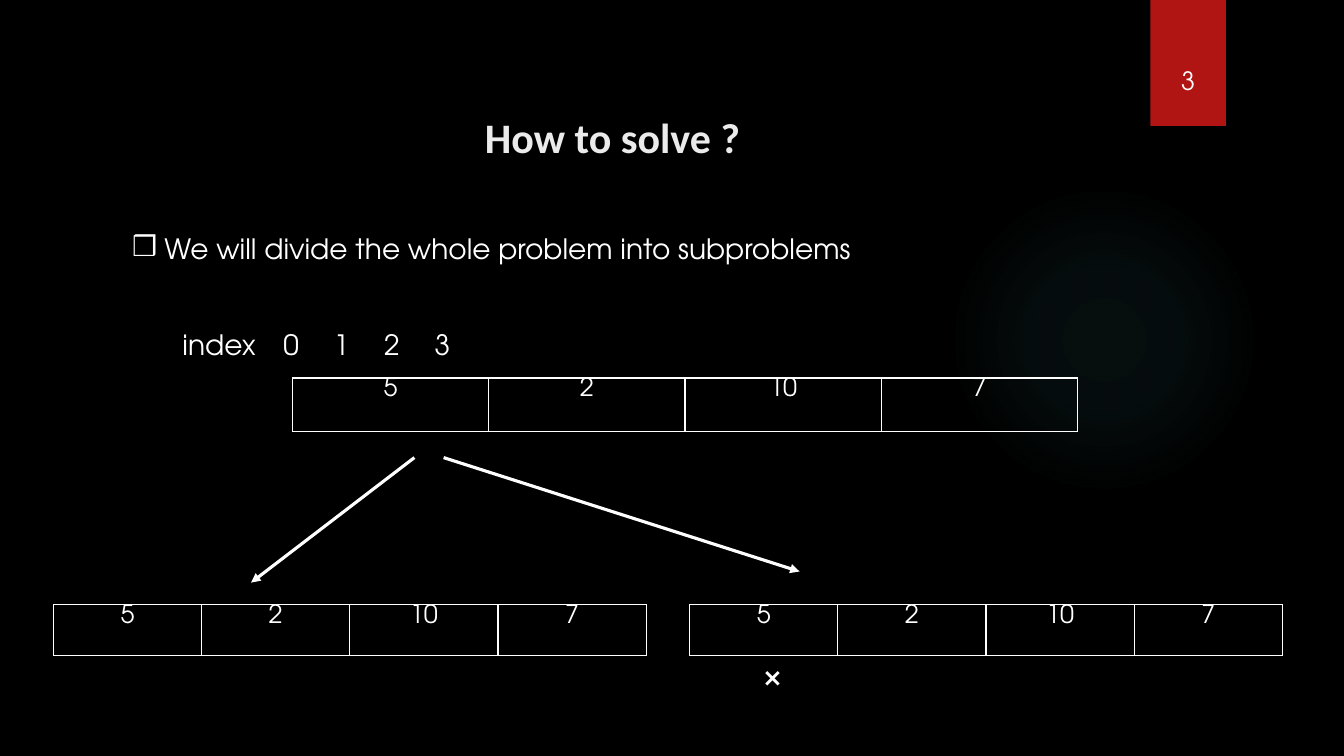
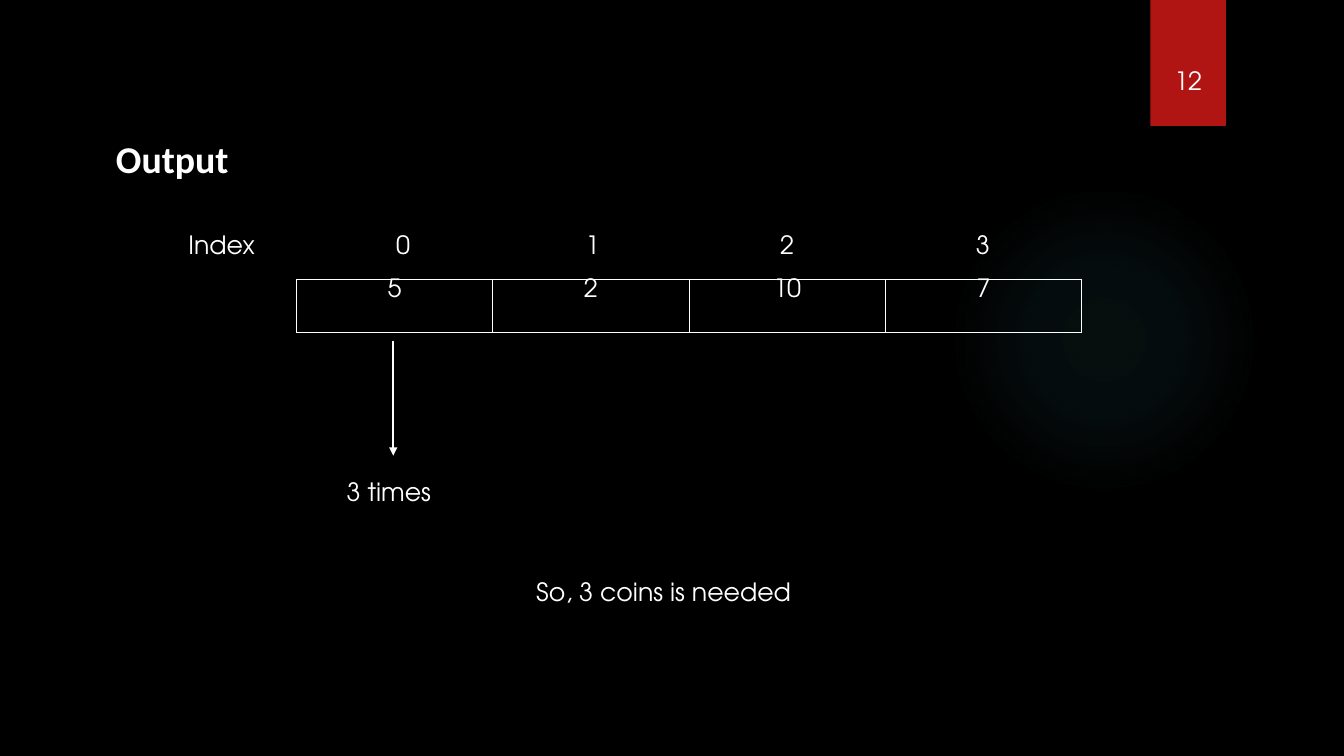
"""Two dark slides on a coin problem: dividing it into subproblems, and its output."""
from pptx import Presentation
from pptx.dml.color import RGBColor
from pptx.enum.shapes import MSO_CONNECTOR, MSO_SHAPE
from pptx.enum.text import MSO_ANCHOR, MSO_AUTO_SIZE, PP_ALIGN
from pptx.oxml import parse_xml
from pptx.oxml.ns import nsdecls, qn
from pptx.util import Inches, Pt

COLORS = {"background": "000000", "text": "FFFFFF", "title": "EBEBEB",
          "band": "B01513", "glow": "50B9C1"}
BODY_FONT = "TeX Gyre Adventor"
TITLE_FONT = "Calibri"
COINS = ["5", "2", "10", "7"]
DRAWING = nsdecls("a")


def write(para, text, size=18, font=BODY_FONT, color="text", bold=False, align=PP_ALIGN.LEFT):
    para.alignment = align
    span = para.add_run()
    span.text = text
    for name, value in {"size": Pt(size), "name": font, "bold": bold}.items():
        setattr(span.font, name, value)
    span.font.color.rgb = RGBColor.from_string(COLORS[color])


def place(box, area, **frame_format):
    box.left, box.top, box.width, box.height = map(Inches, area)
    for name, value in frame_format.items():
        setattr(box.text_frame, name, value)


deck = Presentation()
deck.slide_width, deck.slide_height = Inches(13.33), Inches(7.5)
master = deck.slide_master
master.background.fill.solid()
master.background.fill.fore_color.rgb = RGBColor.from_string(COLORS["background"])

solve_page = deck.slides.add_slide(deck.slide_layouts[1])
output_page = deck.slides.add_slide(deck.slide_layouts[5])

glow = solve_page.shapes.add_shape(
    MSO_SHAPE.OVAL, Inches(9.41), Inches(1.83), Inches(3.08), Inches(3.08))
band = solve_page.shapes.add_shape(
    MSO_SHAPE.RECTANGLE, Inches(11.41), 0, Inches(0.75), Inches(1.25))
band.fill.solid()
band.fill.fore_color.rgb = RGBColor.from_string(COLORS["band"])
glow.fill.background()
stops = "".join(
    f'<a:gs pos="{position}000"><a:srgbClr val="{COLORS["glow"]}">'
    f'<a:alpha val="{opacity}000"/></a:srgbClr></a:gs>'
    for position, opacity in [(0, 7), (36, 6), (69, 0)])
gradient = parse_xml(
    f'<a:gradFill {DRAWING} rotWithShape="1"><a:gsLst>{stops}</a:gsLst><a:path path="circle">'
    '<a:fillToRect l="50000" t="50000" r="50000" b="50000"/></a:path></a:gradFill>')
glow_format = glow.element.spPr
glow_format.replace(glow_format.find(qn("a:noFill")), gradient)
for shape in (glow, band):
    shape.line.fill.background()
    shape.shadow.inherit = False
    master.shapes.element.append(shape.element)

solve_title = solve_page.shapes.title
place(solve_title, (1.21, 0.67, 9.56, 0.99), vertical_anchor=MSO_ANCHOR.BOTTOM,
      margin_left=Inches(3.6), auto_size=MSO_AUTO_SIZE.NONE)
write(solve_title.text_frame.paragraphs[0], "How to solve ?", 30, TITLE_FONT, "title", True)
output_title = output_page.shapes.title
place(output_title, (1.05, 1.3, 1.42, 0.56), vertical_anchor=MSO_ANCHOR.TOP,
      word_wrap=False, auto_size=MSO_AUTO_SIZE.NONE)
write(output_title.text_frame.paragraphs[0], "Output", 27, TITLE_FONT, "text", True)

body = solve_page.placeholders[1]
place(body, (1.21, 2.25, 9.78, 4.59), auto_size=MSO_AUTO_SIZE.NONE)
intro = body.text_frame.paragraphs[0]
index_row = body.text_frame.add_paragraph()
write(intro, "We will divide the whole problem into subproblems", 20)
write(index_row, "\tindex\t0\t1\t2\t3", 20)
intro.space_before, index_row.space_before = Pt(0), Pt(44)
intro_format, index_format = body.element.iter(qn("a:pPr"))
for paragraph_format, indent in [(intro_format, Inches(0.32)), (index_format, 0)]:
    paragraph_format.set("marL", str(indent))
    paragraph_format.set("indent", str(-indent))
intro_format.append(parse_xml(f'<a:buFont {DRAWING} typeface="{BODY_FONT}"/>'))
intro_format.append(parse_xml(f'<a:buChar {DRAWING} char="❒"/>'))
index_format.append(parse_xml(f"<a:buNone {DRAWING}/>"))
tabs = "".join(
    f'<a:tab pos="{Inches(position)}" algn="{align}"/>'
    for position, align in [(1, "l"), (2.64, "ctr"), (4.57, "ctr"), (6.65, "ctr"), (8.49, "ctr")])
index_format.append(parse_xml(f"<a:tabLst {DRAWING}>{tabs}</a:tabLst>"))

coin_tables = [
    (solve_page, 2.9, 3.75, 7.79, 0.53),
    (solve_page, 0.53, 6, 5.88, 0.5),
    (solve_page, 6.84, 6, 5.88, 0.5),
    (output_page, 2.94, 2.77, 7.79, 0.53),
]
for page, *area in coin_tables:
    frame = page.shapes.add_table(1, len(COINS), *map(Inches, area))
    frame.table.first_row = frame.table.horz_banding = False
    for cell, coin in zip(frame.table.rows[0].cells, COINS):
        cell.fill.background()
        cell.margin_top = 0
        write(cell.text_frame.paragraphs[0], coin, align=PP_ALIGN.CENTER)
    for cell_format in frame.element.iter(qn("a:tcPr")):
        for order, side in enumerate("LRTB"):
            cell_format.insert(order, parse_xml(
                f'<a:ln{side} {DRAWING} w="{Pt(1)}"><a:solidFill>'
                f'<a:srgbClr val="{COLORS["text"]}"/></a:solidFill></a:ln{side}>'))

arrows = [
    (solve_page, 2.25, 4.4, 4.54, 7.93, 5.67),
    (solve_page, 2.25, 4.11, 4.54, 2.49, 5.78),
    (output_page, 1.5, 3.9, 3.38, 3.9, 4.52),
]
for page, weight, *ends in arrows:
    arrow = page.shapes.add_connector(MSO_CONNECTOR.STRAIGHT, *map(Inches, ends))
    arrow.line.color.rgb = RGBColor.from_string(COLORS["text"])
    arrow.line.width = Pt(weight)
    arrow_format = arrow.element.spPr
    arrow_format.find(qn("a:ln")).append(parse_xml(f'<a:tailEnd {DRAWING} type="triangle"/>'))
    arrow_format.append(parse_xml(f"<a:effectLst {DRAWING}/>"))

labels = [
    (solve_page, "❌", 7.48, 6.52, 0.45),
    (output_page, "3 times", 3.34, 4.68, 1.12),
    (output_page, "Index", 1.77, 2.23, 0.94),
    (output_page, "0", 3.83, 2.23, 0.34),
    (output_page, "1", 5.71, 2.23, 0.34),
    (output_page, "2", 7.64, 2.23, 0.34),
    (output_page, "3", 9.58, 2.23, 0.34),
    (output_page, "So, 3 coins is needed", 5.22, 5.67, 2.76),
]
for page, text, left, top, width in labels:
    box = page.shapes.add_textbox(0, 0, 0, 0)
    place(box, (left, top, width, 0.4), word_wrap=False,
          auto_size=MSO_AUTO_SIZE.SHAPE_TO_FIT_TEXT)
    write(box.text_frame.paragraphs[0], text)

for page, number in [(solve_page, "3"), (output_page, "12")]:
    box = page.shapes.add_textbox(0, 0, 0, 0)
    place(box, (11.41, 0.6, 0.75, 0.4), word_wrap=True)
    write(box.text_frame.paragraphs[0], number, align=PP_ALIGN.CENTER)

deck.save("out.pptx")
